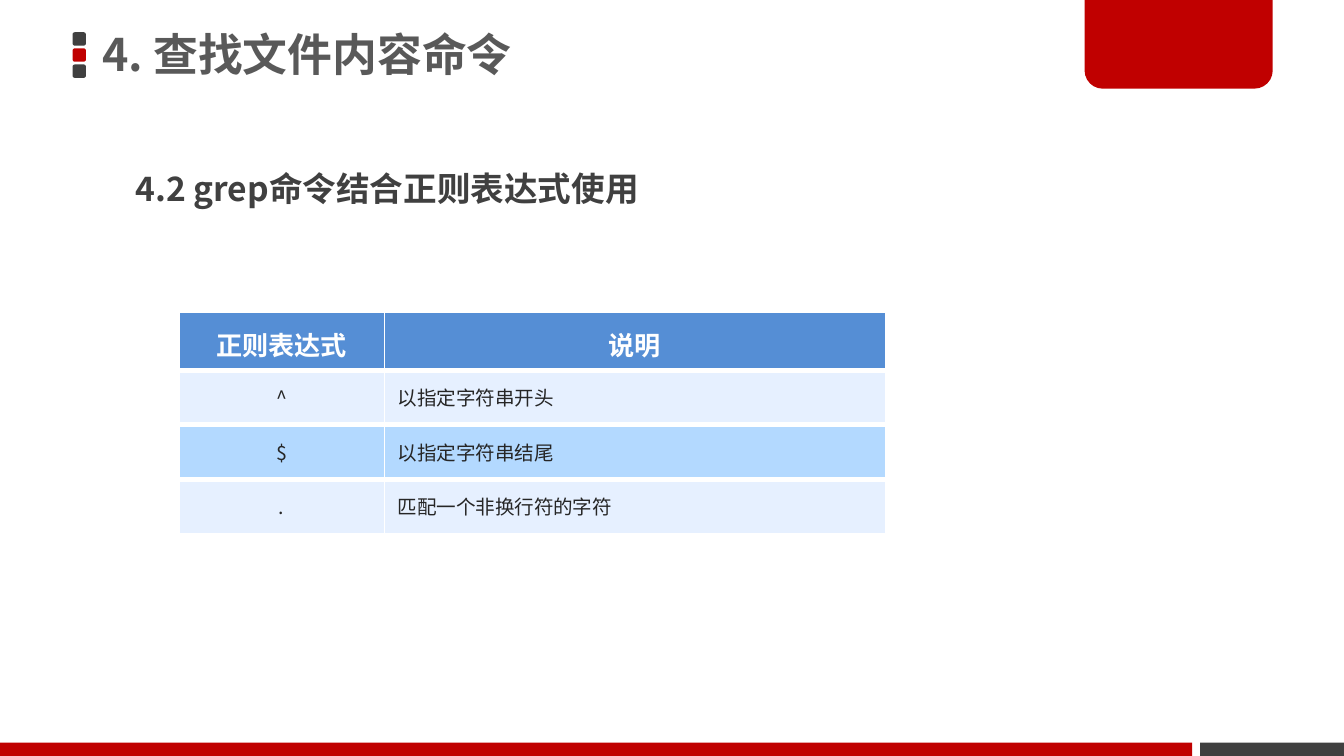
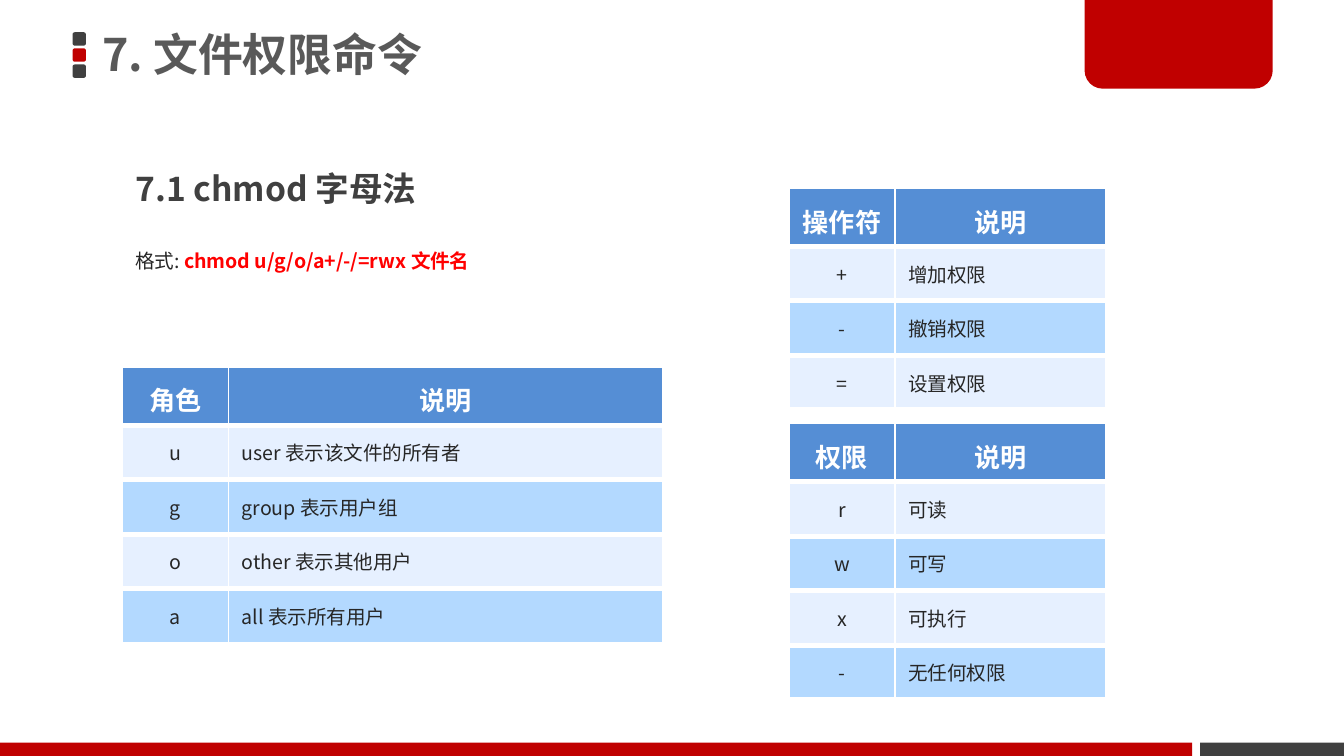
from lxml.etree import SubElement
from pptx import Presentation
from pptx.dml.color import RGBColor
from pptx.enum.shapes import MSO_SHAPE
from pptx.enum.text import MSO_ANCHOR, MSO_AUTO_SIZE, PP_ALIGN
from pptx.oxml.ns import qn
from pptx.util import Inches, Pt

WIDE = 10
HIGH = WIDE * 9 / 16
FONT = "Noto Sans CJK SC"
RED = RGBColor(0xC0, 0x00, 0x00)
DARK = RGBColor(0x40, 0x40, 0x40)
GRAY = RGBColor(0x59, 0x59, 0x59)
INK = RGBColor(0x26, 0x26, 0x26)
ALERT = RGBColor(0xFF, 0x00, 0x00)
WHITE = RGBColor(0xFF, 0xFF, 0xFF)
BLUE = RGBColor(0x55, 0x8E, 0xD5)
BANDS = [RGBColor(0xE6, 0xF0, 0xFF), RGBColor(0xB3, 0xD9, 0xFF)]

# Column and row lines that the content is set on
LEFT, INDENT, RIGHT = 0.91, 1.33, 5.87
HEAD, ROW = Pt(31.2), Pt(29.2)
BAR = 0.1
THIN, THICK = 1, 3

# Text: (left, top, width, height, line spacing, runs of (text, size, colour, bold))
# Table: (left, top, column widths, bottom border, rows)
SLIDES = [
    {
        "title": "4. 查找文件内容命令",
        "texts": [
            (LEFT, 1.05, 4.72, 0.56, 1.5,
             [("4.2 grep命令结合正则表达式使用", 18, DARK, True)]),
        ],
        "tables": [
            (INDENT, 2.32, (1.53, 3.73), THIN, [
                ("正则表达式", "说明"),
                ("^", "以指定字符串开头"),
                ("$", "以指定字符串结尾"),
                (".", "匹配一个非换行符的字符"),
            ]),
        ],
    },
    {
        "title": "7. 文件权限命令",
        "texts": [
            (LEFT, 1.05, 4.57, 0.56, 1.5,
             [("7.1 chmod 字母法", 18, DARK, True)]),
            (LEFT, 1.8, 2.99, 0.28, 1.0,
             [("格式: ", 10.5, INK, False),
              ("chmod u/g/o/a+/-/=rwx 文件名", 10.5, ALERT, True)]),
        ],
        "tables": [
            (LEFT, 2.73, (0.79, 3.23), THIN, [
                ("角色", "说明"),
                ("u", "user 表示该文件的所有者"),
                ("g", "group 表示用户组"),
                ("o", "other 表示其他用户"),
                ("a", "all 表示所有用户"),
            ]),
            (RIGHT, 1.4, (0.79, 1.57), THICK, [
                ("操作符", "说明"),
                ("+", "增加权限"),
                ("-", "撤销权限"),
                ("=", "设置权限"),
            ]),
            (RIGHT, 3.15, (0.79, 1.57), THICK, [
                ("权限", "说明"),
                ("r", "可读"),
                ("w", "可写"),
                ("x", "可执行"),
                ("-", "无任何权限"),
            ]),
        ],
    },
]


def box(*sizes):
    return [Inches(size) for size in sizes]


def write(para, text, size, color, bold):
    run = para.add_run()
    run.text = text
    font = run.font
    font.size, font.bold, font.name = Pt(size), bold, FONT
    font.color.rgb = color
    SubElement(run._r.get_or_add_rPr(), qn("a:ea"), typeface=FONT)


def block(shapes, kind, place, color, *rounds):
    shape = shapes.add_shape(kind, *box(*place))
    shape.shadow.inherit = False
    shape.fill.solid()
    shape.fill.fore_color.rgb = color
    shape.line.fill.background()
    for i, value in enumerate(rounds):
        shape.adjustments[i] = value


def frame(slide):
    """Draw the title marks, the corner tab and the footer bars."""
    marks = slide.shapes.add_group_shape().shapes
    for i, color in enumerate((DARK, RED, DARK)):
        block(marks, MSO_SHAPE.ROUNDED_RECTANGLE,
              (0.54, 0.24 + 0.12 * i, BAR, BAR), color, 0.17)
    block(slide.shapes, MSO_SHAPE.ROUND_2_SAME_RECTANGLE,
          (8.07, -0.02, 1.4, 0.68), RED, 0, 0.2)
    for left, right, color in ((0, 8.87, RED), (8.93, WIDE, DARK)):
        block(slide.shapes, MSO_SHAPE.RECTANGLE,
              (left, HIGH - BAR, right - left, BAR), color)


def head(slide, text):
    title = slide.shapes.title
    title.left, title.top, title.width, title.height = box(0.69, -0.02, 5.89, 0.89)
    body = title.text_frame
    body.auto_size = MSO_AUTO_SIZE.NONE
    body.word_wrap = True
    body.vertical_anchor = MSO_ANCHOR.MIDDLE
    body.margin_left = body.margin_right = Inches(0.07)
    body.margin_top = body.margin_bottom = Inches(0.04)
    para = body.paragraphs[0]
    para.alignment, para.line_spacing = PP_ALIGN.LEFT, 0.9
    write(para, text, 24, GRAY, True)


def note(slide, left, top, width, height, space, runs):
    body = slide.shapes.add_textbox(*box(left, top, width, height)).text_frame
    body.word_wrap = True
    body.auto_size = MSO_AUTO_SIZE.SHAPE_TO_FIT_TEXT
    para = body.paragraphs[0]
    para.line_spacing = space
    for run in runs:
        write(para, *run)


def edge(cell, top, base):
    """Give a cell white borders, thin at the sides."""
    props = cell._tc.get_or_add_tcPr()
    for side, width in (("L", THIN), ("R", THIN), ("T", top), ("B", base)):
        line = SubElement(props, qn(f"a:ln{side}"), w=str(Pt(width)))
        fill = SubElement(line, qn("a:solidFill"))
        SubElement(fill, qn("a:srgbClr"), val=str(WHITE))


def grid(slide, left, top, widths, base, rows):
    last = len(rows) - 1
    table = slide.shapes.add_table(
        len(rows), len(widths), *box(left, top, sum(widths)),
        HEAD + ROW * last).table
    table.horz_banding = False
    for col, width in zip(table.columns, widths):
        col.width = Inches(width)
    for r, row in enumerate(rows):
        first = r == 0
        table.rows[r].height = HEAD if first else ROW
        for c, text in enumerate(row):
            cell = table.cell(r, c)
            edge(cell, THIN if first else THICK, base if r == last else THICK)
            cell.fill.solid()
            cell.fill.fore_color.rgb = BLUE if first else BANDS[(r - 1) % 2]
            cell.vertical_anchor = MSO_ANCHOR.TOP if first else MSO_ANCHOR.MIDDLE
            para = cell.text_frame.paragraphs[0]
            para.alignment = PP_ALIGN.CENTER if first or c == 0 else PP_ALIGN.LEFT
            if first:
                para.line_spacing = Pt(24)
                write(para, text, 14, WHITE, True)
            else:
                write(para, text, 10.5, INK, False)


def main():
    deck = Presentation()
    deck.slide_width, deck.slide_height = box(WIDE, HIGH)
    for page in SLIDES:
        slide = deck.slides.add_slide(deck.slide_layouts[5])
        frame(slide)
        head(slide, page["title"])
        for text in page["texts"]:
            note(slide, *text)
        for table in page["tables"]:
            grid(slide, *table)
    deck.save("out.pptx")


if __name__ == "__main__":
    main()
